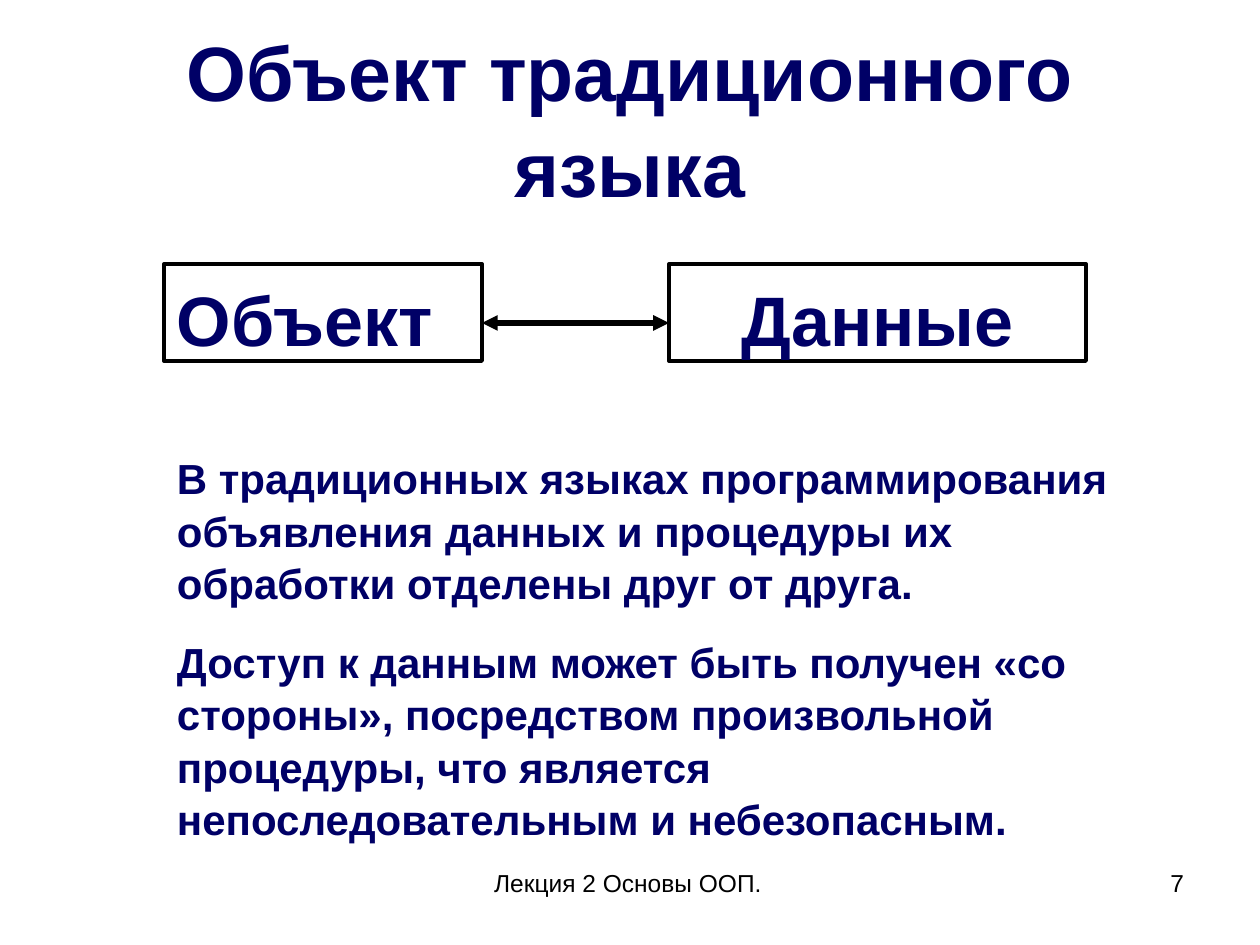
from dataclasses import dataclass

from lxml.etree import SubElement
from pptx import Presentation
from pptx.dml.color import RGBColor
from pptx.enum.shapes import MSO_CONNECTOR, MSO_SHAPE
from pptx.enum.text import MSO_ANCHOR, PP_ALIGN
from pptx.oxml.ns import qn
from pptx.util import Pt


@dataclass(frozen=True)
class Theme:
    """Colours, type sizes and line widths."""
    font: str = "Arial"
    navy: RGBColor = RGBColor(0x00, 0x00, 0x66)
    black: RGBColor = RGBColor(0x00, 0x00, 0x00)
    title: int = 44
    label: int = 40
    body: int = 24
    foot: int = 14
    edge: float = 2.25
    arrow: float = 3
    lead: float = 1.04
    gap: int = 15


THEME = Theme()
WIDE, HIGH = 1260, 945


def px(num):
    """Turn px into EMU, at 126 px to the inch."""
    return round(num * 914400 / 126)


def place(shape, box):
    """Move a shape to a box."""
    shape.left, shape.top, shape.width, shape.height = map(px, box)


def write(shape, texts, size, color, bold=True, align=PP_ALIGN.LEFT,
          anchor=MSO_ANCHOR.TOP, pads=(13, 9, 13, 3)):
    """Fill a shape with one run per paragraph."""
    frame = shape.text_frame
    frame.word_wrap = True
    frame.vertical_anchor = anchor
    (frame.margin_left, frame.margin_top,
     frame.margin_right, frame.margin_bottom) = map(px, pads)
    for at, text in enumerate(texts):
        para = frame.add_paragraph() if at else frame.paragraphs[0]
        para.alignment = align
        para.line_spacing = THEME.lead
        para.space_before = Pt(THEME.gap if at else 0)
        run = para.add_run()
        run.text = text
        font = run.font
        font.name, font.size, font.bold = THEME.font, Pt(size), bold
        font.color.rgb = color


def head(slide, box, text):
    """Format the title placeholder."""
    title = slide.shapes.title
    place(title, box)
    write(title, [text], THEME.title, THEME.navy, align=PP_ALIGN.CENTER,
          anchor=MSO_ANCHOR.MIDDLE, pads=(0, 0, 0, 0))


def node(slide, box, text, align):
    """Draw a framed label."""
    rect = slide.shapes.add_shape(MSO_SHAPE.RECTANGLE, *map(px, box))
    rect.shadow.inherit = False
    rect.fill.background()
    rect.line.color.rgb = THEME.black
    rect.line.width = Pt(THEME.edge)
    write(rect, [text], THEME.label, THEME.navy, align=align)
    return rect


def link(slide, start, end, top):
    """Draw a level arrow with two heads."""
    line = slide.shapes.add_connector(
        MSO_CONNECTOR.STRAIGHT, px(start), px(top), px(end), px(top))
    line.line.color.rgb = THEME.black
    line.line.width = Pt(THEME.arrow)
    props = line.line._get_or_add_ln()
    for tag in ("a:headEnd", "a:tailEnd"):
        SubElement(props, qn(tag), type="triangle")
    SubElement(line._element.spPr, qn("a:effectLst"))


def scheme(slide, box):
    """Draw the object and its data, joined by an arrow."""
    left, top, width, height = box
    first, last = 318, 417
    right = left + width - last
    node(slide, (left, top, first, height), "Объект", PP_ALIGN.LEFT)
    node(slide, (right, top, last, height), "Данные", PP_ALIGN.CENTER)
    link(slide, left + first, right, top + 59)


def body(slide, box, texts):
    """Write the running text."""
    area = slide.shapes.add_textbox(*map(px, box))
    write(area, texts, THEME.body, THEME.navy)


def foot(slide, box, text, page):
    """Write the footer and the page number."""
    left, top, width, height = box
    parts = ((0, 400, text, PP_ALIGN.CENTER),
             (width - 294, 294, page, PP_ALIGN.RIGHT))
    for shift, span, words, align in parts:
        area = slide.shapes.add_textbox(
            *map(px, (left + shift, top, span, height)))
        write(area, [words], THEME.foot, THEME.black, bold=False,
              align=align, pads=(13, 6, 13, 6))


def main():
    """Build the slide."""
    deck = Presentation()
    deck.slide_width, deck.slide_height = px(WIDE), px(HIGH)
    slide = deck.slides.add_slide(deck.slide_layouts[5])
    head(slide, (63, 38, 1134, 158), "Объект традиционного языка")
    scheme(slide, (164, 264, 922, 97))
    body(slide, (164, 442, 973, 469), [
        "В традиционных языках программирования объявления данных "
        "и процедуры их обработки отделены друг от друга.",
        "Доступ к данным может быть получен «со стороны», посредством "
        "произвольной процедуры, что является непоследовательным "
        "и небезопасным.",
    ])
    foot(slide, (428, 861, 769, 66), "Лекция 2 Основы ООП.", "7")
    deck.save("out.pptx")


if __name__ == "__main__":
    main()
